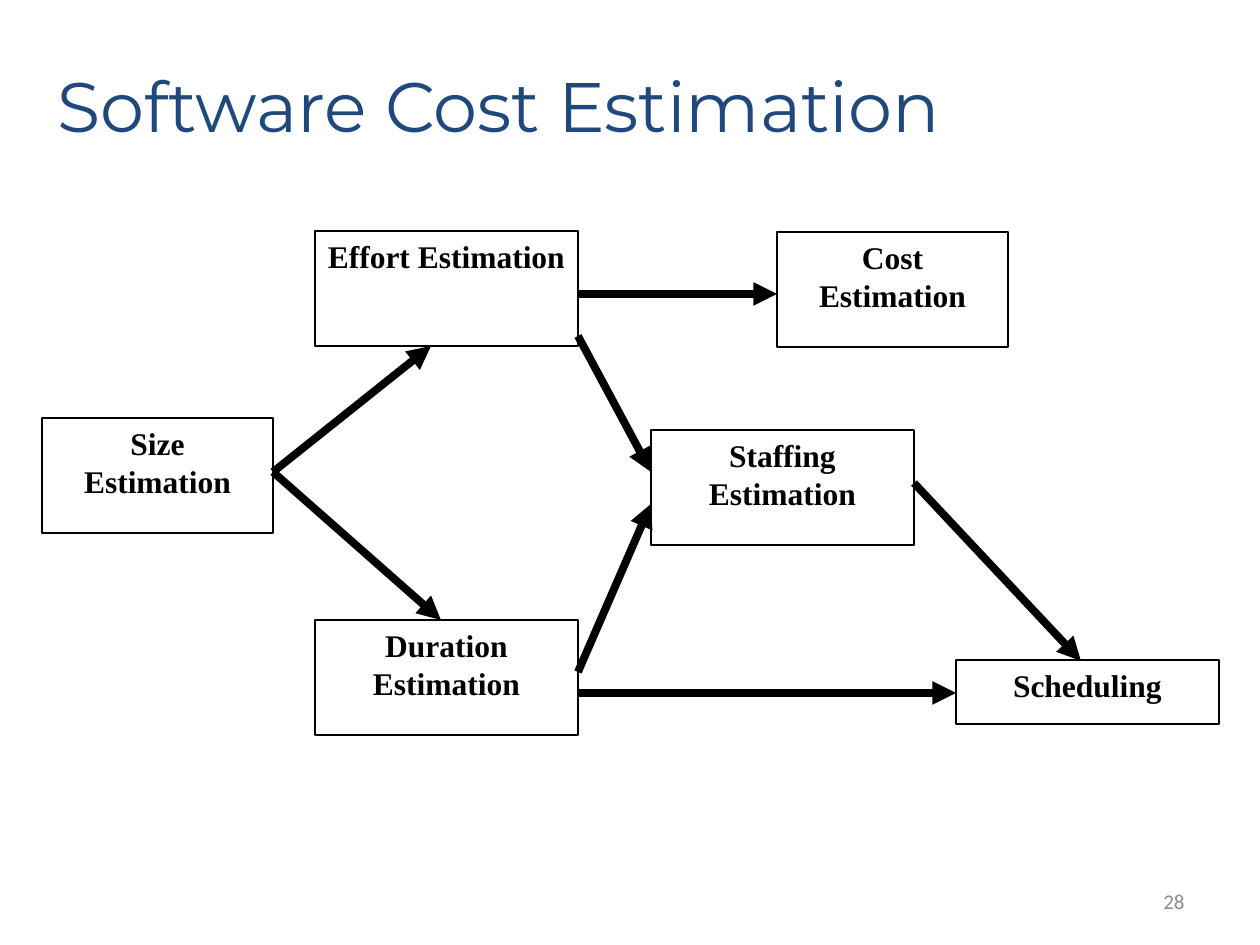
from dataclasses import dataclass

from lxml import etree
from pptx import Presentation
from pptx import util as u
from pptx.dml.color import RGBColor
from pptx.enum import shapes, text
from pptx.oxml.ns import qn

SCALE = 914400 // 126
BLACK = "000000"


@dataclass
class Box:
    label: str
    left: int
    top: int
    width: int
    height: int = 115


@dataclass
class Arrow:
    x1: int
    y1: int
    x2: int
    y2: int


BOXES = [
    Box("Size Estimation", 42, 418, 231),
    Box("Effort Estimation", 315, 231, 263),
    Box("Cost Estimation", 777, 232, 231),
    Box("Duration Estimation", 315, 620, 263),
    Box("Staffing Estimation", 651, 430, 263),
    Box("Scheduling", 956, 660, 263, 64),
]
ARROWS = [
    Arrow(273, 472, 431, 346),
    Arrow(273, 472, 441, 620),
    Arrow(578, 294, 777, 294),
    Arrow(578, 336, 651, 472),
    Arrow(578, 672, 651, 504),
    Arrow(578, 693, 956, 693),
    Arrow(914, 483, 1081, 661),
]


def px(*vals: int) -> list:
    return [u.Emu(v * SCALE) for v in vals]


def tint(code: str) -> RGBColor:
    return RGBColor.from_string(code)


def write(shape, words: str, face: str, size: int, code: str, align,
          anchor=text.MSO_ANCHOR.MIDDLE, bold: bool = False) -> None:
    frame = shape.text_frame
    frame.text = words
    frame.word_wrap = True
    frame.auto_size = text.MSO_AUTO_SIZE.NONE
    frame.vertical_anchor = anchor
    para = frame.paragraphs[0]
    para.alignment = align
    font = para.runs[0].font
    font.name, font.size, font.bold = face, u.Pt(size), bold
    font.color.rgb = tint(code)


def draw_box(slide, box: Box) -> None:
    shape = slide.shapes.add_shape(
        shapes.MSO_SHAPE.RECTANGLE,
        *px(box.left, box.top, box.width, box.height))
    shape.shadow.inherit = False
    shape.fill.background()
    shape.line.color.rgb = tint(BLACK)
    shape.line.width = u.Pt(0.75)
    write(shape, box.label, "Times New Roman", 18, BLACK,
          text.PP_ALIGN.CENTER, text.MSO_ANCHOR.TOP, True)


def draw_arrow(slide, arrow: Arrow) -> None:
    line = slide.shapes.add_connector(
        shapes.MSO_CONNECTOR.STRAIGHT,
        *px(arrow.x1, arrow.y1, arrow.x2, arrow.y2))
    line.line.color.rgb = tint(BLACK)
    line.line.width = u.Pt(4.5)
    props = line.line._get_or_add_ln()
    etree.SubElement(props, qn("a:tailEnd"), type="triangle")
    etree.SubElement(line._element.spPr, qn("a:effectLst"))


def draw_title(slide) -> None:
    title = slide.shapes.title
    title.left, title.top, title.width, title.height = px(55, 25, 1071, 158)
    write(title, "Software Cost Estimation", "Montserrat", 40, "1F497D",
          text.PP_ALIGN.LEFT)
    frame = title.text_frame
    frame.margin_left = frame.margin_right = u.Inches(0.02)


def draw_number(slide) -> None:
    number = slide.shapes.add_textbox(*px(903, 876, 294, 50))
    write(number, "28", "Calibri", 12, "8C8C8C", text.PP_ALIGN.RIGHT)


def main() -> None:
    deck = Presentation()
    deck.slide_width, deck.slide_height = px(1260, 945)
    slide = deck.slides.add_slide(deck.slide_layouts[5])
    draw_title(slide)
    for box in BOXES:
        draw_box(slide, box)
    for arrow in ARROWS:
        draw_arrow(slide, arrow)
    draw_number(slide)
    deck.save("out.pptx")


if __name__ == "__main__":
    main()
